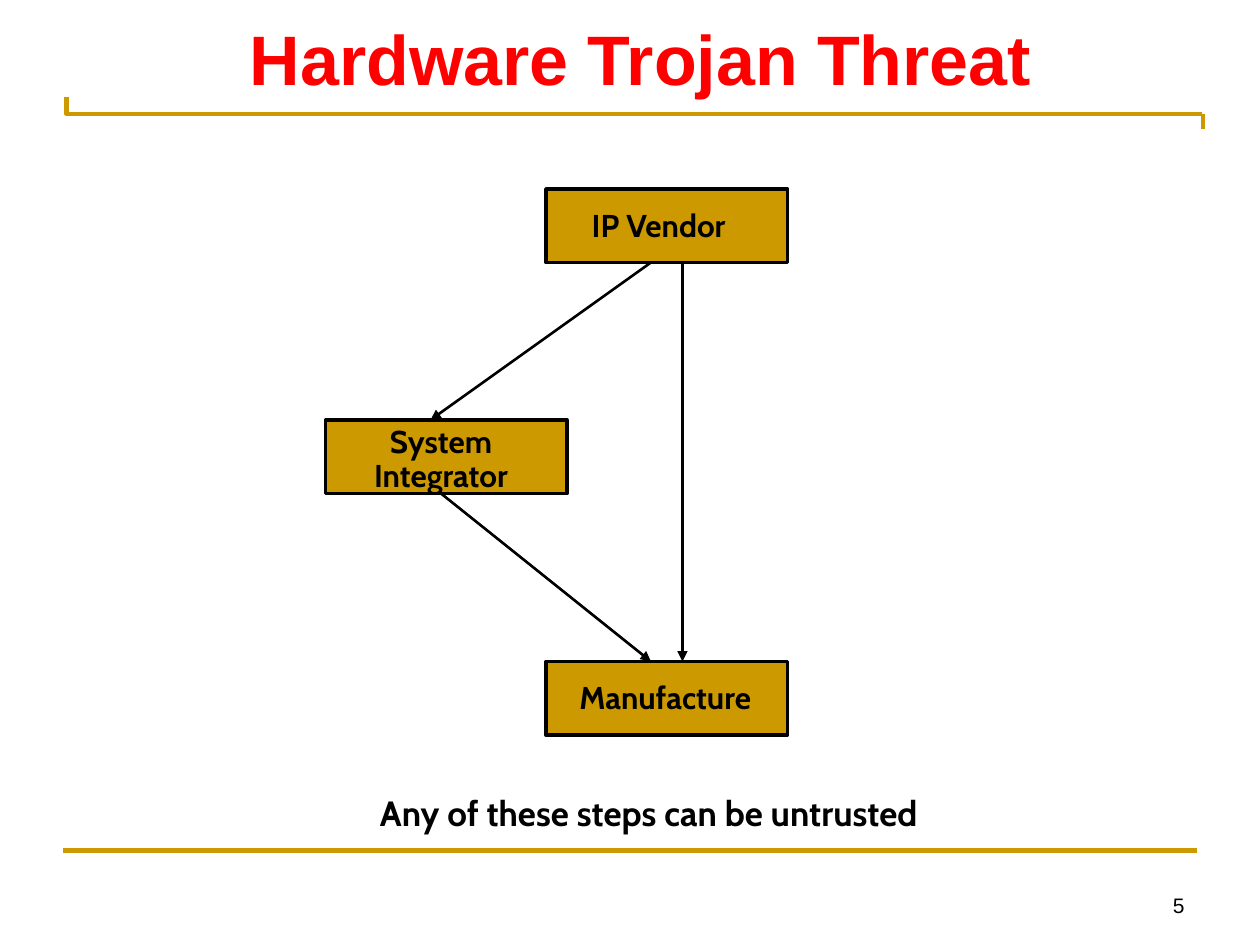
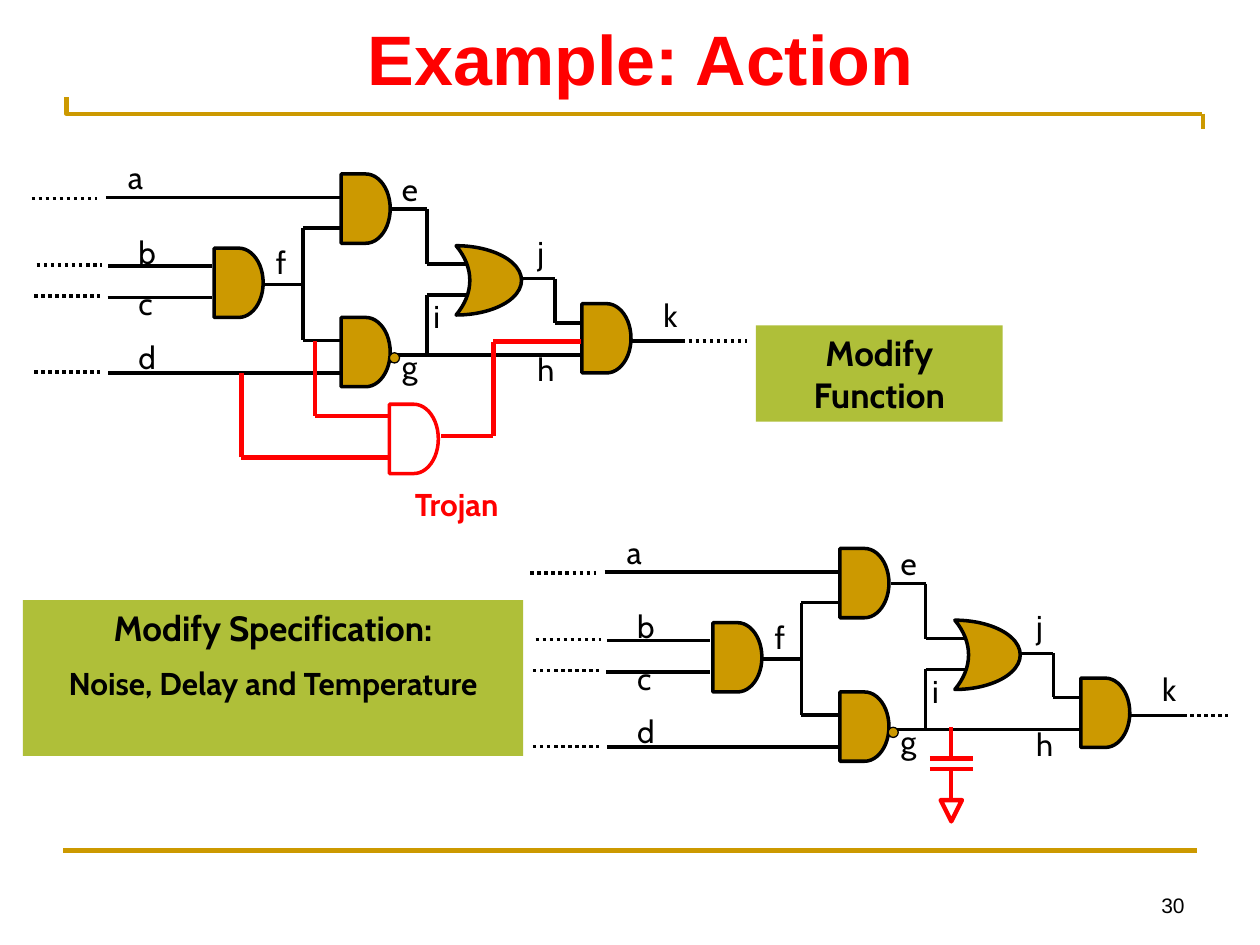
from itertools import pairwise

from lxml import etree
from pptx import Presentation
from pptx.dml.color import RGBColor
from pptx.enum import dml, shapes, text
from pptx.oxml.ns import qn
from pptx.util import Pt

COLORS = {"gold": "CC9900", "black": "000000", "red": "FF0000", "lime": "AFBF39"}
SHAPE = shapes.MSO_SHAPE
ALIGN = text.PP_ALIGN
ANCHOR = text.MSO_ANCHOR
GATE = (28, 39.6)


def rgb(name):
    return RGBColor.from_string(COLORS[name])


# Basic parts
def style(sp, fill=None, line="black", width=2):
    sp.shadow.inherit = False
    if fill:
        sp.fill.solid()
        sp.fill.fore_color.rgb = rgb(fill)
    else:
        sp.fill.background()
    if line:
        sp.line.color.rgb = rgb(line)
        sp.line.width = Pt(width)
    else:
        sp.line.fill.background()
    return sp


def add_shape(s, kind, x, y, w, h, **look):
    sp = s.shapes.add_shape(kind, Pt(x), Pt(y), Pt(w), Pt(h))
    return style(sp, **look)


def add_line(s, start, end, color="black", width=2, dotted=False, arrow=False):
    ends = [Pt(v) for v in (*start, *end)]
    c = s.shapes.add_connector(shapes.MSO_CONNECTOR.STRAIGHT, *ends)
    c.line.color.rgb = rgb(color)
    c.line.width = Pt(width)
    if dotted:
        c.line.dash_style = dml.MSO_LINE.ROUND_DOT
    if arrow:
        etree.SubElement(c.line._get_or_add_ln(), qn("a:tailEnd"), type="triangle")
    etree.SubElement(c._element.spPr, qn("a:effectLst"))


def add_wire(s, x, y, points, **look):
    """Joins the points, given relative to (x, y), with straight lines."""
    for (x1, y1), (x2, y2) in pairwise(points):
        add_line(s, (x + x1, y + y1), (x + x2, y + y2), **look)


def set_font(p, size, color="black", bold=False, name="Cabin"):
    p.font.name, p.font.size, p.font.bold = name, Pt(size), bold
    p.font.color.rgb = rgb(color)


def add_text(s, x, y, w, h, words, size=18, color="black", bold=False, name="Cabin",
             align=ALIGN.LEFT, anchor=ANCHOR.TOP, wrap=True):
    tf = s.shapes.add_textbox(Pt(x), Pt(y), Pt(w), Pt(h)).text_frame
    tf.word_wrap, tf.vertical_anchor = wrap, anchor
    p = tf.paragraphs[0]
    p.text, p.alignment = words, align
    set_font(p, size, color, bold, name)
    return p


# Title, rules and page number shared by both slides
def add_frame_slide(prs, title, number):
    s = prs.slides.add_slide(prs.slide_layouts[5])
    fb = s.shapes.build_freeform(Pt(38), Pt(55.5))
    fb.add_line_segments([(Pt(38), Pt(65)), (Pt(687), Pt(65))], close=False)
    style(fb.convert_to_shape(), line="gold", width=2.5)
    add_line(s, (36, 486), (684, 486), "gold", 2.5)
    add_line(s, (687.5, 65), (687.5, 73.5), "gold", 2.5)

    ph = s.shapes.title
    ph.left, ph.top, ph.width, ph.height = Pt(42), Pt(6), Pt(648), Pt(54)
    tf = ph.text_frame
    tf.text = title
    tf.vertical_anchor = ANCHOR.MIDDLE
    tf.paragraphs[0].alignment = ALIGN.CENTER
    set_font(tf.paragraphs[0], 40, "red", True, "Arial")

    add_text(s, 516, 492, 168, 36, number, size=12, name="Arial",
             align=ALIGN.RIGHT, anchor=ANCHOR.BOTTOM)
    return s


# Supply chain diagram
def add_supply_chain(s, x, y):
    for bx, by in ((126, 0), (126, 270), (0, 132)):
        add_shape(s, SHAPE.RECTANGLE, x + bx, y + by, 138, 42, fill="gold")
    for arrow in (((204, 42), (204, 270)),
                  ((186, 42), (60, 132)),
                  ((66, 174), (186, 270))):
        add_wire(s, x, y, arrow, width=1.5, arrow=True)
    add_text(s, x + 145, y + 6, 99, 29, "IP Vendor", bold=True, wrap=False)
    p = add_text(s, x, y + 132, 132, 46, "System Integrator", bold=True,
                 align=ALIGN.CENTER)
    p.line_spacing = 0.9
    add_text(s, x + 138, y + 276, 122, 29, "Manufacture", bold=True, wrap=False)


# Logic circuit; output_x is where the dotted output starts
def add_gate(s, x, y, fill="gold", line="black"):
    add_shape(s, SHAPE.FLOWCHART_DELAY, x, y, *GATE, fill=fill, line=line)


def add_circuit(s, x, y, output_x):
    wires = (
        ((42.5, 27), (176.5, 27)),                                # a
        ((44, 66), (103, 66)),                                    # b
        ((43.5, 84), (103, 84)),                                  # c
        ((44, 127), (178, 127)),                                  # d
        ((206, 33.5), (226, 33.5), (226, 65), (257, 65)),         # e
        ((133, 76.7), (155, 76.7)),                               # f
        ((176.5, 44.3), (155, 44.3), (155, 108.5), (176.5, 108.5)),
        ((206.5, 117), (314.5, 117)),                             # g, h
        ((226, 117), (226, 82.5), (258.5, 82.5)),                 # i
        ((276.5, 73.3), (299, 73.3), (299, 98.5), (314.5, 98.5)),  # j
        ((342, 109), (373, 109)),                                 # k
    )
    for points in wires:
        add_wire(s, x, y, points)

    dotted = ((0, 27.5), (3, 65.5), (1.5, 83.3), (1.5, 126.5), (output_x, 109))
    for dx, dy in dotted:
        add_wire(s, x, y, ((dx, dy), (dx + 37.5, dy)), dotted=True)

    for gx, gy in ((177, 13.4), (177, 95.4), (104.4, 55.8), (314.6, 87.5)):
        add_gate(s, x + gx, y + gy)
    or_gate = add_shape(s, SHAPE.MOON, x + 242.6, y + 54.4, 37.4, 39.6, fill="gold")
    or_gate.rotation = 180
    or_gate.adjustments[0] = 0.79
    add_shape(s, SHAPE.OVAL, x + 204.5, y + 115.6, 5.8, 5.8, fill="gold", width=0.75)

    labels = {"a": (48, 1), "b": (54, 43.5), "c": (54, 73), "d": (54, 103.5),
              "e": (204.5, 7.5), "f": (132.5, 49.5), "g": (204.5, 109),
              "h": (282, 110.5), "i": (222.5, 80.3), "j": (282, 43.5),
              "k": (354, 79.5)}
    for name, (lx, ly) in labels.items():
        add_text(s, x + lx, y + ly, 24, 29, name)


# Extra red gate, relative to its circuit
def add_trojan_gate(s, x, y):
    add_gate(s, x + 204.5, y + 145, fill=None, line="red")
    for points in (((204.5, 175.4), (120, 175.4), (120, 127)),
                   ((162, 109), (162, 151.6), (204.5, 151.6)),
                   ((234, 163), (264, 163), (264, 109.2), (314, 109.2))):
        add_wire(s, x, y, points, color="red", width=2.5)
    add_text(s, x + 180, y + 187.6, 126, 29, "Trojan", color="red", bold=True,
             align=ALIGN.CENTER)


# Extra red capacitor to ground, relative to its circuit
def add_trojan_capacitor(s, x, y):
    for points in (((240.6, 115.4), (240.6, 133.4)),
                   ((228.4, 133.4), (252.8, 133.4)),
                   ((228.4, 139.4), (252.8, 139.4)),
                   ((240.6, 139.4), (240.6, 157.2))):
        add_wire(s, x, y, points, color="red", width=2.5)
    ground = add_shape(s, SHAPE.ISOSCELES_TRIANGLE, x + 234.5, y + 157.2, 12.2, 12.2,
                       line="red", width=2.5)
    ground.rotation = 180


# Green box with one paragraph for each (words, size)
def add_callout(s, x, y, w, h, lines):
    tf = add_shape(s, SHAPE.RECTANGLE, x, y, w, h, fill="lime", line=None).text_frame
    tf.word_wrap, tf.vertical_anchor = True, ANCHOR.TOP
    for i, (words, size) in enumerate(lines):
        p = tf.add_paragraph() if i else tf.paragraphs[0]
        p.text, p.alignment = words, ALIGN.CENTER
        if i:
            p.space_before = Pt(size / 2)
        set_font(p, size, bold=True)


def build_threat_slide(prs):
    s = add_frame_slide(prs, "Hardware Trojan Threat", "5")
    add_supply_chain(s, 186, 108)
    add_text(s, 210, 448.5, 359, 31, "Any of these steps can be untrusted",
             size=20, bold=True, wrap=False)


def build_action_slide(prs):
    s = add_frame_slide(prs, "Example: Action", "30")
    function_at, specification_at = (18, 86), (303, 300)
    add_circuit(s, *function_at, output_x=371.5)
    add_trojan_gate(s, *function_at)
    add_circuit(s, *specification_at, output_x=361)
    add_trojan_capacitor(s, *specification_at)
    add_callout(s, 432, 186, 141, 55, [("Modify Function", 20)])
    add_callout(s, 13, 343, 286, 89, [("Modify Specification:", 20),
                                      ("Noise, Delay and Temperature", 18)])


def main():
    prs = Presentation()
    prs.slide_width, prs.slide_height = Pt(720), Pt(540)
    build_threat_slide(prs)
    build_action_slide(prs)
    prs.save("out.pptx")


if __name__ == "__main__":
    main()
